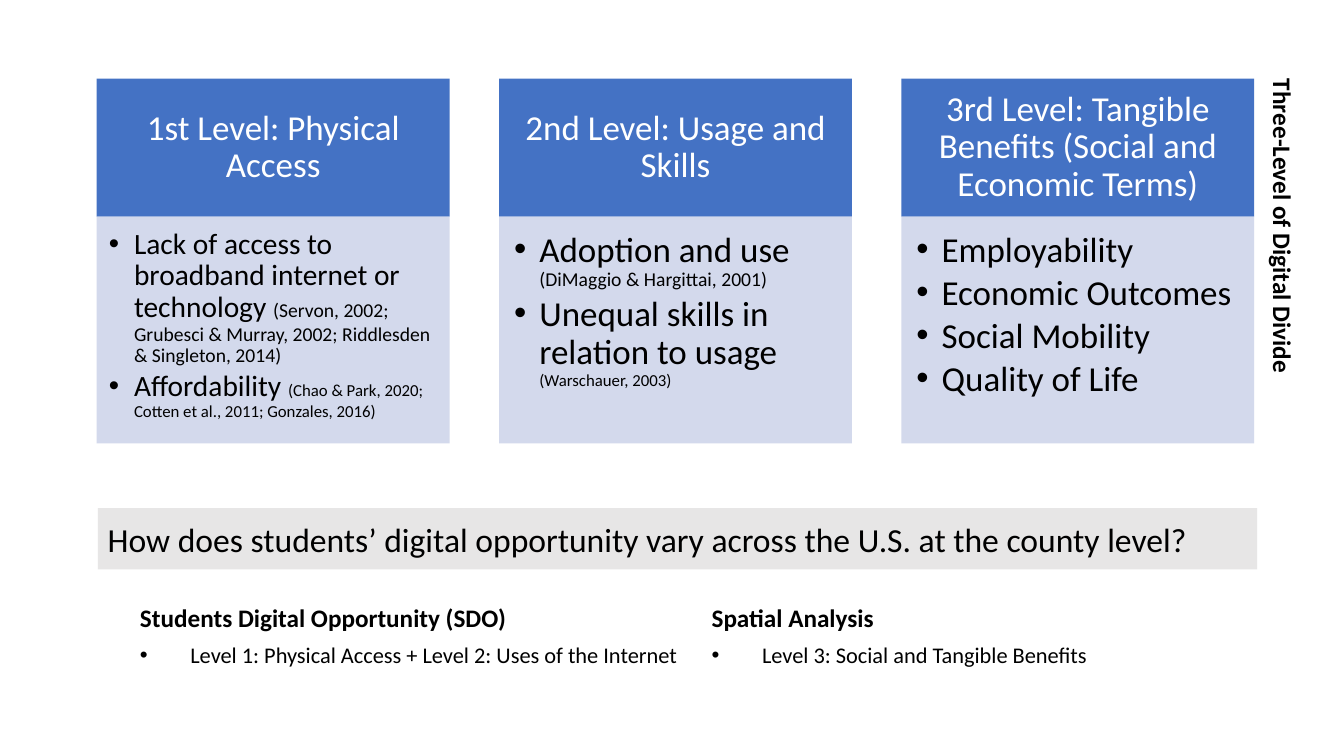
from lxml.etree import SubElement
from pptx import Presentation
from pptx.dml.color import RGBColor
from pptx.enum.shapes import MSO_SHAPE as Shape
from pptx.enum.text import MSO_ANCHOR as Anchor, PP_ALIGN as Align
from pptx.oxml.ns import qn
from pptx.util import Pt

PX = 9144
FONT = "Calibri"
BLUE = RGBColor(0x44, 0x72, 0xC4)
PALE_BLUE = RGBColor(0xCF, 0xD5, 0xEA)
GREY = RGBColor(0xE7, 0xE6, 0xE6)
BLACK = RGBColor(0, 0, 0)
WHITE = RGBColor(255, 255, 255)

LEFT, STEP, WIDTH = 96, 399, 350
LEVELS = [
    ("1st Level: Physical Access", (12, 12, 16, 18), [
        [("Lack of access to broadband internet or technology ", 21),
         ("(Servon, 2002; Grubesci & Murray, 2002; Riddlesden & Singleton, 2014)", 14)],
        [("Affordability ", 21),
         ("(Chao & Park, 2020; Cotten et al., 2011; Gonzales, 2016)", 12)],
    ]),
    ("2nd Level: Usage and Skills", (15, 15, 19, 22), [
        [("Adoption and use ", 25), ("(DiMaggio & Hargittai, 2001)", 14)],
        [("Unequal skills in relation to usage ", 25), ("(Warschauer, 2003)", 12)],
    ]),
    ("3rd Level: Tangible Benefits (Social and Economic Terms)", (15, 15, 19, 22), [
        [("Employability", 25)],
        [("Economic Outcomes", 25)],
        [("Social Mobility", 25)],
        [("Quality of Life", 25)],
    ]),
]
TOPICS = [
    (129, "Students Digital Opportunity (SDO)",
     "Level 1: Physical Access + Level 2: Uses of the Internet"),
    (696, "Spatial Analysis", "Level 3: Social and Tangible Benefits"),
]


def set_frame(box, insets=(10, 5, 10, 5), anchor=Anchor.TOP):
    """Wrap the text of a box and set its insets and anchor."""
    frame = box.text_frame
    frame.word_wrap = True
    frame.vertical_anchor = anchor
    frame.margin_left, frame.margin_top, frame.margin_right, frame.margin_bottom = (
        inset * PX for inset in insets)
    return frame


def add_block(page, place, color, insets=(10, 5, 10, 5), anchor=Anchor.MIDDLE, alpha=None):
    """Add a filled rectangle and return its text frame."""
    block = page.shapes.add_shape(Shape.RECTANGLE, *(length * PX for length in place))
    block.shadow.inherit = False
    block.fill.solid()
    block.fill.fore_color.rgb = color
    block.line.fill.background()
    if alpha:
        for tint in block.fill._xPr.iter(qn("a:srgbClr")):
            SubElement(tint, qn("a:alpha"), val=str(alpha * 1000))
    return set_frame(block, insets, anchor)


def add_text_box(page, place, rotation=0):
    """Add a plain text box and return its text frame."""
    box = page.shapes.add_textbox(*(length * PX for length in place))
    box.rotation = rotation
    return set_frame(box)


def add_para(frame, spans, color=BLACK, bold=False, align=Align.LEFT,
             spacing=1.0, after=0, indent=0):
    """Write a paragraph of (text, size) spans, bulleted when indented."""
    first = frame.paragraphs[0]
    para = first if not first.runs else frame.add_paragraph()
    if indent:
        properties = para._p.get_or_add_pPr()
        properties.set("marL", str(indent * PX))
        properties.set("indent", str(-indent * PX))
        SubElement(properties, qn("a:buFont"), typeface="Arial")
        SubElement(properties, qn("a:buChar"), char="•")
    para.alignment = align
    para.line_spacing = spacing
    para.space_after = Pt(after)
    para.font.name = FONT
    para.font.size = Pt(spans[0][1])
    para.font.bold = bold
    para.font.color.rgb = color
    for text, size in spans:
        span = para.add_run()
        span.text = text
        if size != spans[0][1]:
            span.font.size = Pt(size)


def add_level(page, left, title, insets, points):
    """Add a level: a blue header over a pale panel of bullets."""
    header = add_block(page, (left, 78, WIDTH, 137), BLUE, (19, 11, 19, 11))
    add_para(header, [(title, 25)], WHITE, align=Align.CENTER, spacing=0.9)
    panel = add_block(page, (left, 215, WIDTH, 225), PALE_BLUE, insets, Anchor.TOP, 90)
    for spans in points:
        add_para(panel, spans, spacing=0.9, after=spans[0][1] * 0.15, indent=25)


def add_topic(page, left, title, point):
    """Add a bold heading with one bullet below it."""
    frame = add_text_box(page, (left, 593, 567, 90))
    add_para(frame, [(title, 18)], bold=True, after=6)
    add_para(frame, [(point, 16)], after=6, indent=50)


def main():
    """Build the slide and save it."""
    deck = Presentation()
    deck.slide_width, deck.slide_height = 1333 * PX, 750 * PX
    page = deck.slides.add_slide(deck.slide_layouts[6])
    for index, level in enumerate(LEVELS):
        add_level(page, LEFT + index * STEP, *level)
    side_title = add_text_box(page, (955, 366, 635, 40), rotation=90)
    add_para(side_title, [("Three-Level of Digital Divide", 18)], bold=True)
    question = add_block(page, (97, 504, 1150, 61), GREY)
    add_para(question, [("How does students’ digital opportunity vary across "
                         "the U.S. at the county level?", 24)])
    for topic in TOPICS:
        add_topic(page, *topic)
    deck.save("out.pptx")


if __name__ == "__main__":
    main()
